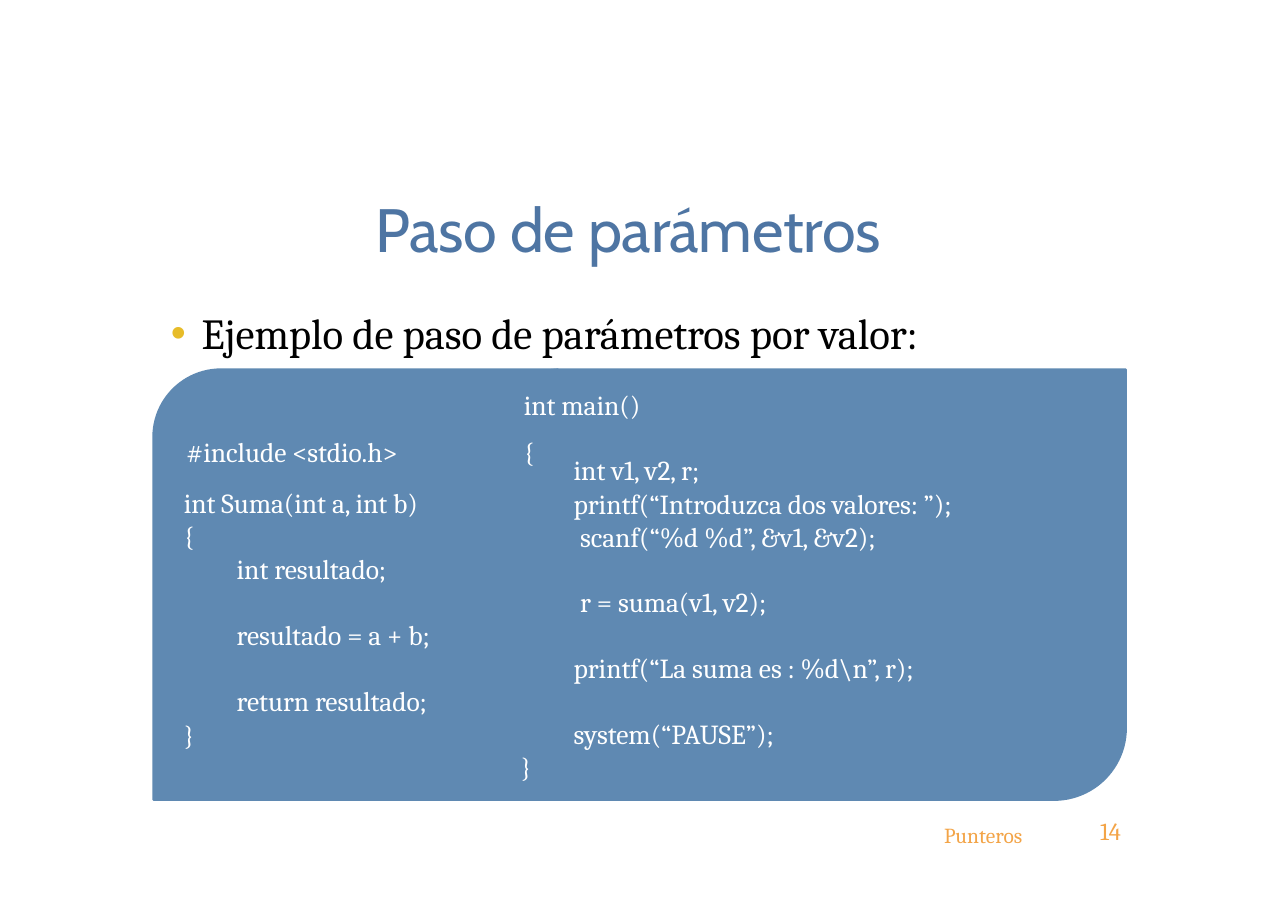
from lxml.etree import SubElement
from pptx import Presentation
from pptx.dml.color import RGBColor
from pptx.enum.shapes import MSO_SHAPE as Shape
from pptx.enum.text import MSO_ANCHOR as Anchor, MSO_AUTO_SIZE as AutoSize, PP_ALIGN as Align
from pptx.oxml.ns import qn
from pptx.util import Cm, Pt

COLORS = {"title": "4E75A3", "panel": "5F89B2", "text": "000000",
          "code": "FFFFFF", "bullet": "E7BC29", "footer": "F3A447"}
HEADING, SERIF = "Cabin", "Cambria"
CODE_LINE = 21.6   # line pitch of the code, points
TAB = 1.22         # code indent, cm


def rgb(name):
    return RGBColor.from_string(COLORS[name])


class SlideBuilder:
    def __init__(self, width, height):
        self.deck = Presentation()
        self.deck.slide_width, self.deck.slide_height = Cm(width), Cm(height)
        self.slide = self.deck.slides.add_slide(self.deck.slide_layouts[1])

    def frame(self, holder, left, top, width, height):
        holder.left, holder.top = Cm(left), Cm(top)
        holder.width, holder.height = Cm(width), Cm(height)
        area = holder.text_frame
        area.word_wrap, area.auto_size = True, AutoSize.NONE
        area.vertical_anchor = Anchor.TOP
        area.margin_left = area.margin_top = area.margin_right = area.margin_bottom = 0
        return area

    def style(self, paragraph, size, color, font=SERIF, tracking=0.0):
        paragraph.alignment = Align.LEFT
        for run in paragraph.runs:
            run.font.name, run.font.size = font, Pt(size)
            run.font.color.rgb = rgb(color)
            run._r.get_or_add_rPr().set("spc", str(round(tracking * 100)))

    def title(self, words, *place):
        area = self.frame(self.slide.shapes.title, *place)
        area.text = words
        self.style(area.paragraphs[0], 40, "title", HEADING, -0.2)

    def bullet(self, words, *place):
        area = self.frame(self.slide.placeholders[1], *place)
        area.text = words
        item = area.paragraphs[0]
        props = item._p.get_or_add_pPr()
        props.set("marL", str(Cm(0.74)))
        props.set("indent", str(Cm(-0.71)))
        item.space_before = Pt(0)
        tint = SubElement(props, qn("a:buClr"))
        SubElement(tint, qn("a:srgbClr")).set("val", COLORS["bullet"])
        SubElement(props, qn("a:buChar")).set("char", "•")
        self.style(item, 28, "text", tracking=-0.07)

    def panel(self, *place):
        box = self.slide.shapes.add_shape(Shape.ROUND_2_DIAG_RECTANGLE, *map(Cm, place))
        box.shadow.inherit = False
        box.fill.solid()
        box.fill.fore_color.rgb = box.line.color.rgb = rgb("panel")
        box.line.width = Pt(1.5)

    def label(self, words, size, pitch, *place):
        self.lines([(words, 0, 0)], size, "footer", pitch, *place)

    def code(self, rows, *place):
        self.lines(rows, 18, "code", CODE_LINE, *place)

    def lines(self, rows, size, color, pitch, *place):
        """Each row holds its words, indent in cm and gap above in points."""
        area = self.frame(self.slide.shapes.add_textbox(0, 0, 0, 0), *place)
        area.text = "\n".join(words for words, _, _ in rows)
        for paragraph, (_, indent, gap) in zip(area.paragraphs, rows):
            paragraph._p.get_or_add_pPr().set("marL", str(Cm(indent)))
            paragraph.line_spacing = Pt(pitch)
            paragraph.space_before = Pt(gap)
            self.style(paragraph, size, color, tracking=-0.05 if color == "code" else 0)


def main():
    page = SlideBuilder(29.7, 20.98)

    # Heading and topic
    page.title("Paso de parámetros", 8.66, 4.42, 12.47, 1.75)
    page.bullet("Ejemplo de paso de parámetros por valor:", 3.91, 7.07, 19.02, 1.3)

    # Code panels
    page.panel(3.54, 8.52, 9.33, 9.92)
    page.panel(11.28, 8.52, 14.68, 9.92)

    # Called function
    page.code([
        ("#include <stdio.h>", 0.06, 0),
        ("int Suma(int a, int b)", 0, 11.8),
        ("{", 0, 0),
        ("int resultado;", TAB, 0),
        ("resultado = a + b;", TAB, CODE_LINE),
        ("return resultado;", TAB, CODE_LINE),
        ("}", 0, 0),
    ], 4.24, 10.03, 7, 7.3)

    # Main program
    page.code([("int main()", 0, 0), ("{", 0, 9)], 12.08, 8.94, 5, 1.9)
    page.code([
        ("int v1, v2, r;", TAB, 0),
        ("printf(“Introduzca dos valores: ”);", TAB, 0.5),
        ("scanf(“%d %d”, &v1, &v2);", TAB + 0.15, 0.5),
        ("r = suma(v1, v2);", TAB + 0.15, 20.5),
        ("printf(“La suma es : %d\\n”, r);", TAB, CODE_LINE),
        ("system(“PAUSE”);", TAB, CODE_LINE),
        ("}", 0, 0),
    ], 12.01, 10.44, 13, 7.6)

    # Footer
    page.label("Punteros", 14, 16.6, 21.77, 18.97, 2.3, 0.64)
    page.label("14", 16, 18.9, 25.37, 18.82, 0.9, 0.71)

    page.deck.save("out.pptx")


if __name__ == "__main__":
    main()
